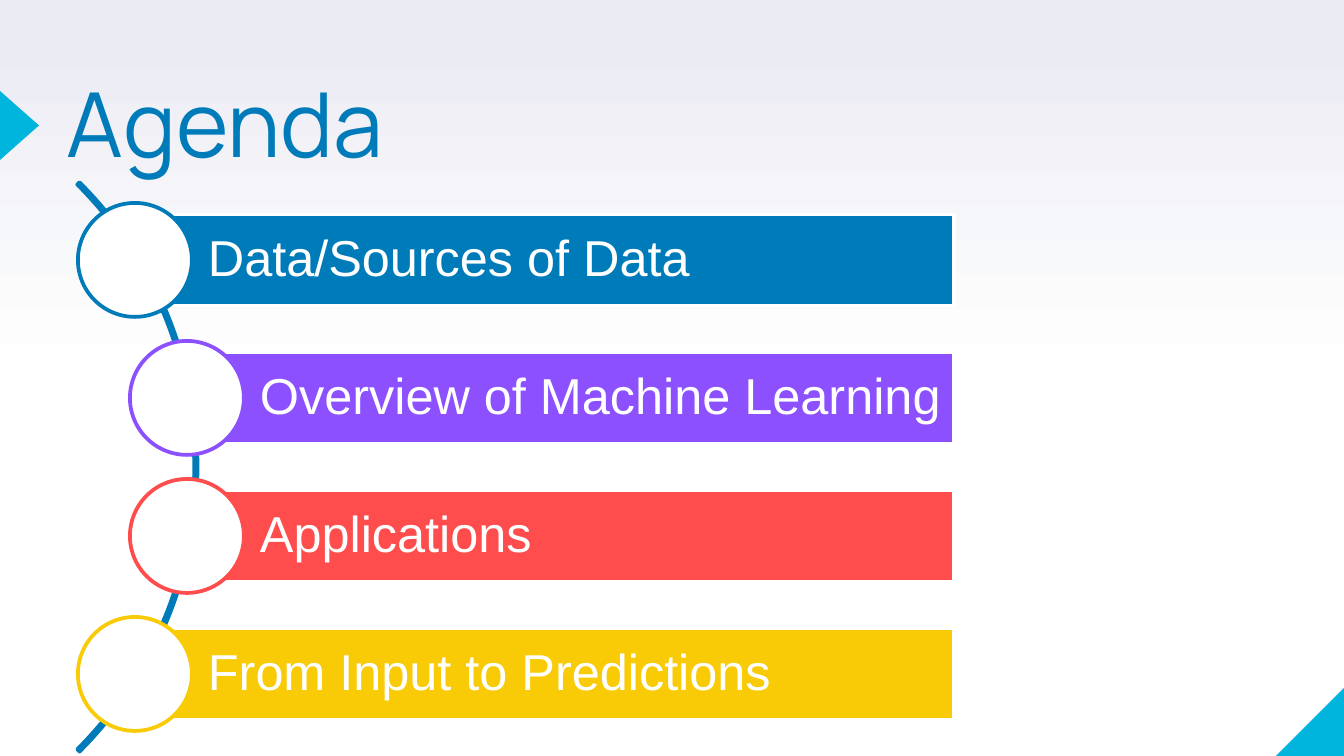
from copy import deepcopy
from math import sqrt

from pptx import Presentation
from pptx.dml.color import RGBColor
from pptx.enum.shapes import MSO_SHAPE
from pptx.enum.text import MSO_ANCHOR, PP_ALIGN
from pptx.oxml.ns import qn
from pptx.util import Emu, Pt

SCALE = 914400 / 134.4
WIDE, HIGH = 1344, 756
BLUE, CYAN, WHITE = "007BB9", "00B5DD", "FFFFFF"
ITEMS = [
    ("Data/Sources of Data", BLUE),
    ("Overview of Machine Learning", "8C50FF"),
    ("Applications", "FF4D4D"),
    ("From Input to Predictions", "F9CB07"),
]


def px(size):
    return Emu(round(size * SCALE))


def color(text):
    return RGBColor.from_string(text)


def draw(slide, kind, box, fill=None, line=None):
    """Add a preset shape; a missing fill or line is left out."""
    shape = slide.shapes.add_shape(kind, *map(px, box))
    shape.shadow.inherit = False
    if fill:
        shape.fill.solid()
        shape.fill.fore_color.rgb = color(fill)
    else:
        shape.fill.background()
    if line:
        shape.line.color.rgb = color(line)
        shape.line.width = Pt(2)
    else:
        shape.line.fill.background()
    return shape


def write(shape, text, font, size, tint, space, pads, anchor):
    frame = shape.text_frame
    sides = ("left", "top", "right", "bottom")
    form = {f"margin_{side}": px(pad) for side, pad in zip(sides, pads)}
    form |= {"word_wrap": True, "vertical_anchor": anchor}
    para = frame.paragraphs[0]
    para.text = text
    para.font.color.rgb = color(tint)
    for part, values in (
        (frame, form),
        (para, {"line_spacing": space, "alignment": PP_ALIGN.LEFT}),
        (para.font, {"name": font, "size": Pt(size)}),
    ):
        for name, value in values.items():
            setattr(part, name, value)


def backdrop(slide):
    """Fade from white at the bottom to pale grey at the top."""
    fill = slide.background.fill
    fill.gradient()
    fill.gradient_angle = 90
    stops = slide.element.find(".//" + qn("a:gsLst"))
    stops.insert(1, deepcopy(stops[0]))
    marks = [(0, WHITE), (0.5, WHITE), (1, "E9EAF2")]
    for stop, (place, tint) in zip(fill.gradient_stops, marks):
        stop.position = place
        stop.color.rgb = color(tint)


def accents(slide, wide, high):
    side = 69
    corner = (wide - side + 1, high - side, side, side)
    draw(slide, MSO_SHAPE.RIGHT_TRIANGLE, corner, CYAN).rotation = 270
    arrow = draw(slide, MSO_SHAPE.ISOSCELES_TRIANGLE, (-15, 106, side, 39), CYAN)
    arrow.rotation = 90


def title(slide, box, text):
    shape = slide.shapes.add_textbox(*map(px, box))
    write(shape, text, "Manrope", 48, BLUE, 0.8, (0, 0, 0, 0), MSO_ANCHOR.TOP)


def agenda(slide, box, items):
    """Hang one bar and one circle per item on an arc at the left edge."""
    left, top, wide, high = box
    size, track, bar, ball = 805, 398, 91, 114
    hub, mid = left - 283, top + high / 2
    arc = draw(slide, MSO_SHAPE.BLOCK_ARC,
               (hub - size / 2, mid - size / 2, size, size), line=BLUE)
    for spot, value in enumerate((189, 27, 0.004)):
        arc.adjustments[spot] = value

    step = (high - ball) / (len(items) - 1)
    for row, (text, tint) in enumerate(items):
        y = top + ball / 2 + row * step
        x = hub + sqrt(track ** 2 - (y - mid) ** 2)
        band = draw(slide, MSO_SHAPE.RECTANGLE,
                    (x, y - bar / 2, left + wide - x, bar), tint, WHITE)
        write(band, text, "Arial", 27, WHITE, 0.9, (73, 9, 9, 9),
              MSO_ANCHOR.MIDDLE)
        draw(slide, MSO_SHAPE.OVAL,
             (x - ball / 2, y - ball / 2, ball, ball), WHITE, tint)


def main():
    deck = Presentation()
    deck.slide_width, deck.slide_height = px(WIDE), px(HIGH)
    slide = deck.slides.add_slide(deck.slide_layouts[6])
    backdrop(slide)
    accents(slide, WIDE, HIGH)
    title(slide, (67, 89, 829, 159), "Agenda")
    agenda(slide, (78, 203, 876, 528), ITEMS)
    deck.save("out.pptx")


if __name__ == "__main__":
    main()
